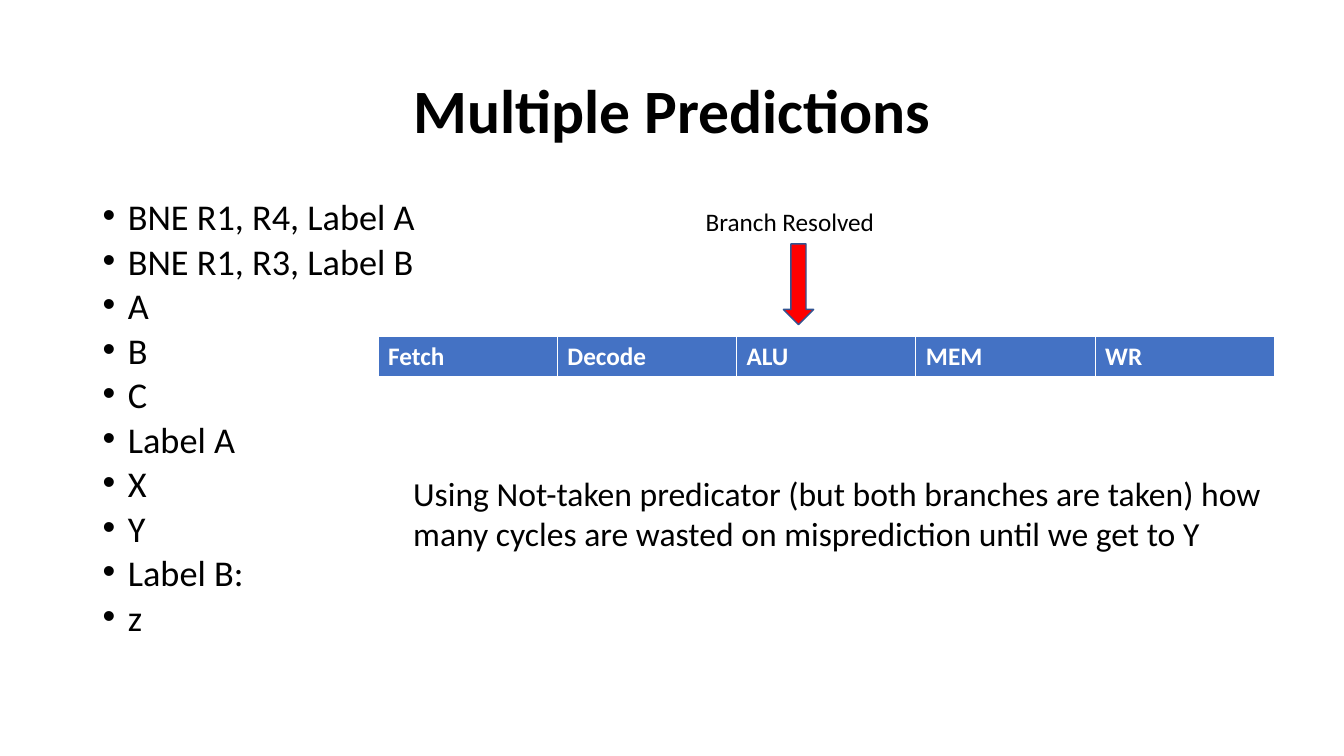
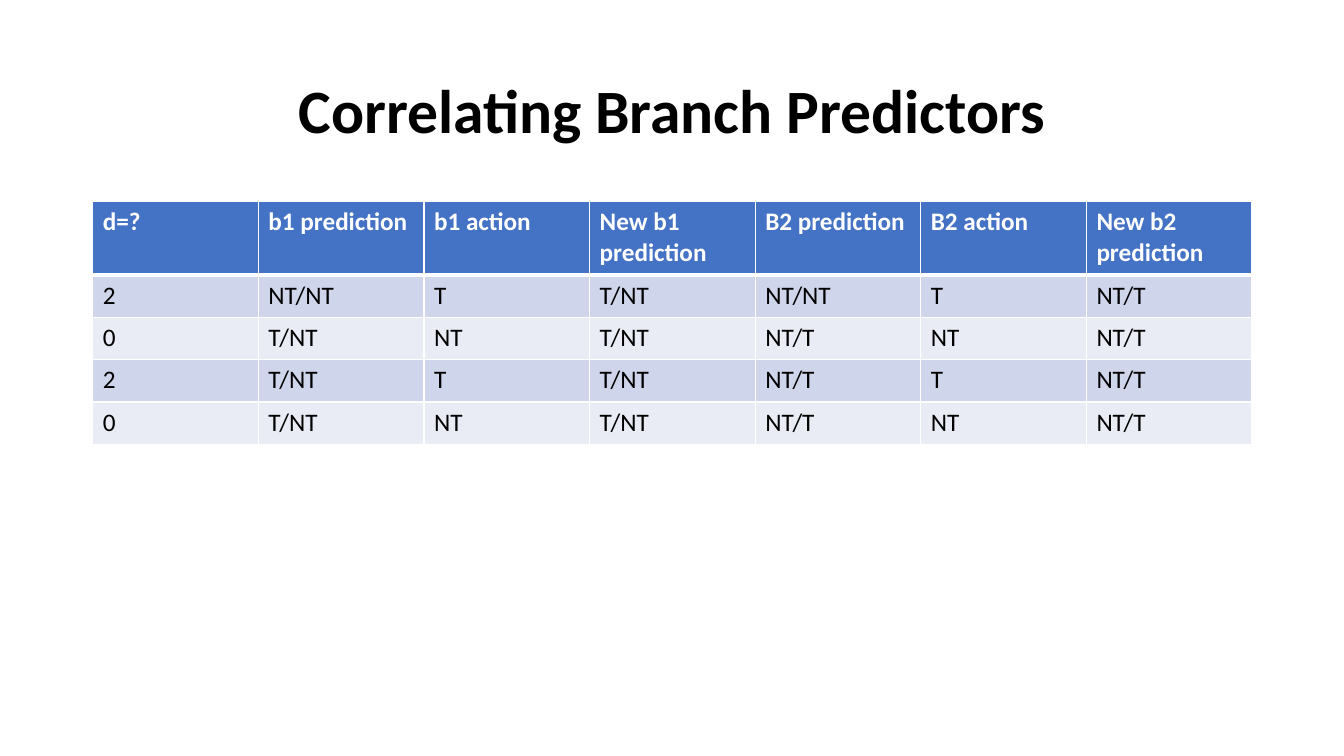
from lxml import etree
from pptx import Presentation
from pptx.dml.color import RGBColor
from pptx.enum import shapes, text
from pptx.oxml import ns
from pptx.util import Inches, Pt

FONT = "Calibri"
BLACK = RGBColor(0x00, 0x00, 0x00)
WHITE = RGBColor(0xFF, 0xFF, 0xFF)
HEADER_BLUE = RGBColor(0x44, 0x72, 0xC4)
BAND_DARK = RGBColor(0xCF, 0xD5, 0xEA)
BAND_LIGHT = RGBColor(0xE9, 0xEB, 0xF5)
ARROW_RED = RGBColor(0xFF, 0x00, 0x00)
ARROW_EDGE = RGBColor(0x32, 0x54, 0x91)

MARGIN = 0.92
CONTENT_WIDTH = 11.5
CONTENT_TOP = 2

INSTRUCTIONS = [
    "BNE R1, R4, Label A", "BNE R1, R3, Label B", "A", "B", "C",
    "Label A", "X", "Y", "Label B:", "z",
]
STAGES = ["Fetch", "Decode", "ALU", "MEM", "WR"]
QUESTION = (
    "Using Not-taken predicator (but both branches are taken) how many cycles "
    "are wasted on misprediction until we get to Y"
)
PREDICTIONS = [
    ["d=?", "b1 prediction", "b1 action", "New b1 prediction",
     "B2 prediction", "B2 action", "New b2 prediction"],
    ["2", "NT/NT", "T", "T/NT", "NT/NT", "T", "NT/T"],
    ["0", "T/NT", "NT", "T/NT", "NT/T", "NT", "NT/T"],
    ["2", "T/NT", "T", "T/NT", "NT/T", "T", "NT/T"],
    ["0", "T/NT", "NT", "T/NT", "NT/T", "NT", "NT/T"],
]


def set_font(paragraph, size, color=BLACK, bold=False):
    font = paragraph.font
    font.name = FONT
    font.size = Pt(size)
    font.bold = bold
    font.color.rgb = color


def add_text(slide, lines, left, top, width, height, size, bold=False):
    frame = slide.shapes.add_textbox(
        Inches(left), Inches(top), Inches(width), Inches(height)).text_frame
    frame.word_wrap = True
    frame.text = "\n".join(lines)
    for paragraph in frame.paragraphs:
        set_font(paragraph, size, bold=bold)
    return frame


def add_titled_slide(deck, title):
    slide = deck.slides.add_slide(deck.slide_layouts[6])
    frame = add_text(slide, [title], MARGIN, 0.4, CONTENT_WIDTH, 1.45, 44, bold=True)
    frame.vertical_anchor = text.MSO_ANCHOR.MIDDLE
    frame.paragraphs[0].alignment = text.PP_ALIGN.CENTER
    frame.paragraphs[0].line_spacing = 0.9
    return slide


def add_bullets(slide, lines):
    frame = add_text(slide, lines, MARGIN, CONTENT_TOP, CONTENT_WIDTH, 4.76, 25.9)
    for paragraph in frame.paragraphs:
        paragraph.line_spacing = 0.7
        paragraph.space_before = Pt(10)
        properties = paragraph._p.get_or_add_pPr()
        properties.set("marL", str(Inches(0.25)))
        properties.set("indent", str(-Inches(0.25)))
        bullet_font = etree.Element(ns.qn("a:buFont"), typeface="Arial")
        bullet = etree.Element(ns.qn("a:buChar"), char="•")
        spacing = properties.find(ns.qn("a:spcBef"))
        spacing.addnext(bullet_font)
        bullet_font.addnext(bullet)


def add_borders(cell, bottom_width):
    properties = cell._tc.get_or_add_tcPr()
    for side, width in zip("LRTB", (1, 1, 1, bottom_width)):
        edge = etree.SubElement(properties, ns.qn(f"a:ln{side}"), w=str(Pt(width)))
        fill = etree.SubElement(edge, ns.qn("a:solidFill"))
        etree.SubElement(fill, ns.qn("a:srgbClr"), val=str(WHITE))


def add_banded_table(slide, rows, left, top, width, row_heights):
    table = slide.shapes.add_table(
        len(rows), len(rows[0]), Inches(left), Inches(top),
        Inches(width), Inches(sum(row_heights))).table
    for column in table.columns:
        column.width = Inches(width / len(rows[0]))
    for row_index, (values, height) in enumerate(zip(rows, row_heights)):
        table.rows[row_index].height = Inches(height)
        is_header = row_index == 0
        band = BAND_DARK if row_index % 2 else BAND_LIGHT
        for column_index, value in enumerate(values):
            cell = table.cell(row_index, column_index)
            cell.text = value
            set_font(cell.text_frame.paragraphs[0], 18,
                     WHITE if is_header else BLACK, is_header)
            add_borders(cell, 3 if is_header else 1)
            cell.fill.solid()
            cell.fill.fore_color.rgb = HEADER_BLUE if is_header else band


def add_down_arrow(slide, left, top, width, height):
    arrow = slide.shapes.add_shape(
        shapes.MSO_SHAPE.DOWN_ARROW,
        Inches(left), Inches(top), Inches(width), Inches(height))
    arrow.shadow.inherit = False
    arrow.fill.solid()
    arrow.fill.fore_color.rgb = ARROW_RED
    arrow.line.color.rgb = ARROW_EDGE
    arrow.line.width = Pt(1)


def build_multiple_predictions(deck):
    slide = add_titled_slide(deck, "Multiple Predictions")
    add_bullets(slide, INSTRUCTIONS)
    add_banded_table(slide, [STAGES], 3.75, 3.34, 8.89, [0.41])
    add_down_arrow(slide, 7.77, 2.42, 0.3, 0.8)
    add_text(slide, ["Branch Resolved"], 6.9, CONTENT_TOP, 2.03, 0.4, 18)
    add_text(slide, [QUESTION], 4, 4.64, 8.64, 0.91, 24)


def build_correlating_predictors(deck):
    slide = add_titled_slide(deck, "Correlating Branch Predictors")
    row_heights = [0.73] + [0.42] * (len(PREDICTIONS) - 1)
    add_banded_table(slide, PREDICTIONS, MARGIN, CONTENT_TOP, CONTENT_WIDTH, row_heights)


def main():
    deck = Presentation()
    deck.slide_width = Inches(13.33)
    deck.slide_height = Inches(7.5)
    build_multiple_predictions(deck)
    build_correlating_predictors(deck)
    deck.save("out.pptx")


if __name__ == "__main__":
    main()
